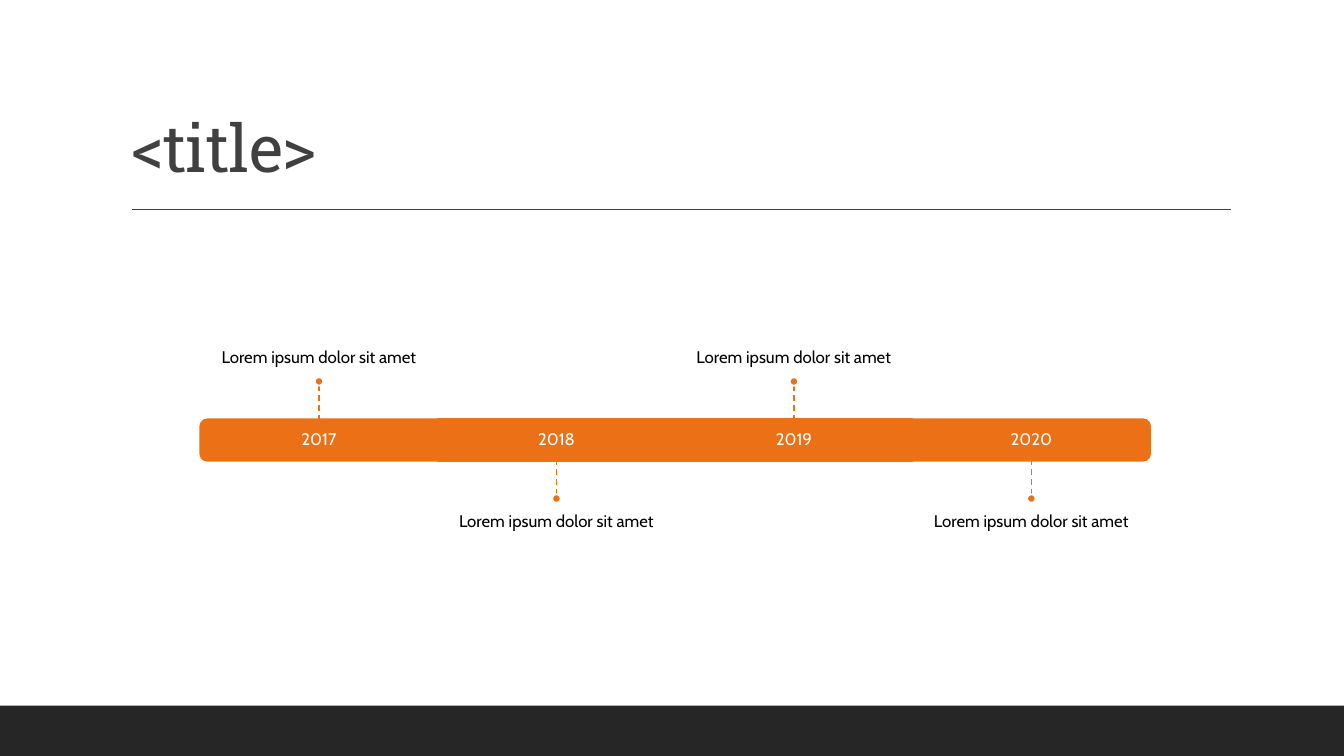
from dataclasses import dataclass

from lxml import etree
from pptx import Presentation
from pptx.dml.color import RGBColor
from pptx.enum.dml import MSO_LINE
from pptx.enum.shapes import MSO_CONNECTOR, MSO_SHAPE
from pptx.enum.text import MSO_ANCHOR, MSO_AUTO_SIZE, PP_ALIGN
from pptx.oxml.ns import qn
from pptx.util import Pt


@dataclass(frozen=True)
class Theme:
    accent: RGBColor = RGBColor(0xEC, 0x70, 0x16)
    heading: RGBColor = RGBColor(0x40, 0x40, 0x40)
    footer: RGBColor = RGBColor(0x26, 0x26, 0x26)
    body: RGBColor = RGBColor(0, 0, 0)
    white: RGBColor = RGBColor(0xFF, 0xFF, 0xFF)
    heading_font: str = "Roboto Slab"
    body_font: str = "Cabin"
    heading_size: float = 47
    body_size: float = 12


THEME = Theme()
SLIDE_WIDTH, SLIDE_HEIGHT = 960, 540
FOOTER_HEIGHT = 36

STAGES = [
    ("2017", "Lorem ipsum dolor sit amet"),
    ("2018", "Lorem ipsum dolor sit amet"),
    ("2019", "Lorem ipsum dolor sit amet"),
    ("2020", "Lorem ipsum dolor sit amet"),
]
BAR_LEFT, BAR_TOP, BAR_HEIGHT = 143.1, 299.5, 29.6
STAGE_WIDTH = 169.6
STEM_LENGTH, DOT_SIZE = 24, 6
LABEL_WIDTH, LABEL_HEIGHT = 283, 104.4


def write_text(frame, text, font_name, size, color, align, anchor, insets):
    """Fill a text frame with one line; insets are left, top, right, bottom."""
    frame.word_wrap = True
    frame.auto_size = MSO_AUTO_SIZE.NONE
    frame.vertical_anchor = anchor
    (frame.margin_left, frame.margin_top,
     frame.margin_right, frame.margin_bottom) = map(Pt, insets)
    paragraph = frame.paragraphs[0]
    paragraph.alignment = align
    paragraph.line_spacing = 0.9
    run = paragraph.add_run()
    run.text = text
    run.font.name = font_name
    run.font.size = Pt(size)
    run.font.color.rgb = color
    return run


def add_title(slide, text):
    title = slide.shapes.title
    title.left, title.top, title.width, title.height = map(Pt, (86.4, 22.3, 792, 114.5))
    run = write_text(title.text_frame, text, THEME.heading_font, THEME.heading_size,
                     THEME.heading, PP_ALIGN.LEFT, MSO_ANCHOR.BOTTOM,
                     (7.2, 3.6, 7.2, 3.6))
    run.font._element.set("spc", "-50")


def add_label(slide, text, left, top, width, height, color, anchor, insets):
    box = slide.shapes.add_textbox(Pt(left), Pt(top), Pt(width), Pt(height))
    write_text(box.text_frame, text, THEME.body_font, THEME.body_size, color,
               PP_ALIGN.CENTER, anchor, insets)


def add_filled_shape(slide, kind, left, top, width, height, fill, line=None):
    shape = slide.shapes.add_shape(kind, Pt(left), Pt(top), Pt(width), Pt(height))
    shape.shadow.inherit = False
    shape.fill.solid()
    shape.fill.fore_color.rgb = fill
    if line is None:
        shape.line.fill.background()
    else:
        shape.line.color.rgb = line
        shape.line.width = Pt(1.25)
    return shape


def add_line(slide, start, end, color, dash=None):
    line = slide.shapes.add_connector(MSO_CONNECTOR.STRAIGHT, *map(Pt, (*start, *end)))
    line.line.color.rgb = color
    line.line.width = Pt(1)
    if dash is not None:
        line.line.dash_style = dash
    etree.SubElement(line._element.spPr, qn("a:effectLst"))


def add_bar_segment(slide, index, center):
    """Draw one stage of the bar; the two outer stages have rounded ends."""
    rotation = {0: 270, len(STAGES) - 1: 90}.get(index)
    if rotation is None:
        kind, width, height = MSO_SHAPE.RECTANGLE, STAGE_WIDTH, BAR_HEIGHT
    else:
        kind, width, height = MSO_SHAPE.ROUND_2_SAME_RECTANGLE, BAR_HEIGHT, STAGE_WIDTH
    middle = BAR_TOP + BAR_HEIGHT / 2
    segment = add_filled_shape(slide, kind, center - width / 2, middle - height / 2,
                               width, height, THEME.accent, THEME.accent)
    segment.rotation = rotation or 0


def add_callout(slide, text, center, above):
    """Draw the label, dashed stem and dot above or below the bar."""
    direction = -1 if above else 1
    edge = BAR_TOP if above else BAR_TOP + BAR_HEIGHT
    tip = edge + direction * STEM_LENGTH
    dot_top = tip - DOT_SIZE if above else tip
    if above:
        label_top, anchor, insets = dot_top - LABEL_HEIGHT, MSO_ANCHOR.BOTTOM, (0, 0, 0, 7.2)
    else:
        label_top, anchor, insets = dot_top + DOT_SIZE, MSO_ANCHOR.TOP, (0, 7.2, 0, 0)
    add_label(slide, text, center - LABEL_WIDTH / 2, label_top, LABEL_WIDTH,
              LABEL_HEIGHT, THEME.body, anchor, insets)
    add_line(slide, (center, tip), (center, edge), THEME.accent, MSO_LINE.DASH)
    add_filled_shape(slide, MSO_SHAPE.OVAL, center - DOT_SIZE / 2, dot_top,
                     DOT_SIZE, DOT_SIZE, THEME.accent, THEME.white)


def add_timeline(slide):
    for index, (year, text) in enumerate(STAGES):
        left = BAR_LEFT + index * STAGE_WIDTH
        center = left + STAGE_WIDTH / 2
        add_bar_segment(slide, index, center)
        add_label(slide, year, left, BAR_TOP, STAGE_WIDTH, BAR_HEIGHT, THEME.white,
                  MSO_ANCHOR.MIDDLE, (7.2, 7.2, 7.2, 7.2))
        add_callout(slide, text, center, above=index % 2 == 0)


def main():
    presentation = Presentation()
    presentation.slide_width = Pt(SLIDE_WIDTH)
    presentation.slide_height = Pt(SLIDE_HEIGHT)
    slide = presentation.slides.add_slide(presentation.slide_layouts.get_by_name("Title Only"))
    add_filled_shape(slide, MSO_SHAPE.RECTANGLE, 0, SLIDE_HEIGHT - FOOTER_HEIGHT,
                     SLIDE_WIDTH, FOOTER_HEIGHT, THEME.footer)
    add_line(slide, (94.3, 149.6), (879, 149.6), THEME.heading)
    add_title(slide, "<title>")
    add_timeline(slide)
    presentation.save("out.pptx")


if __name__ == "__main__":
    main()
